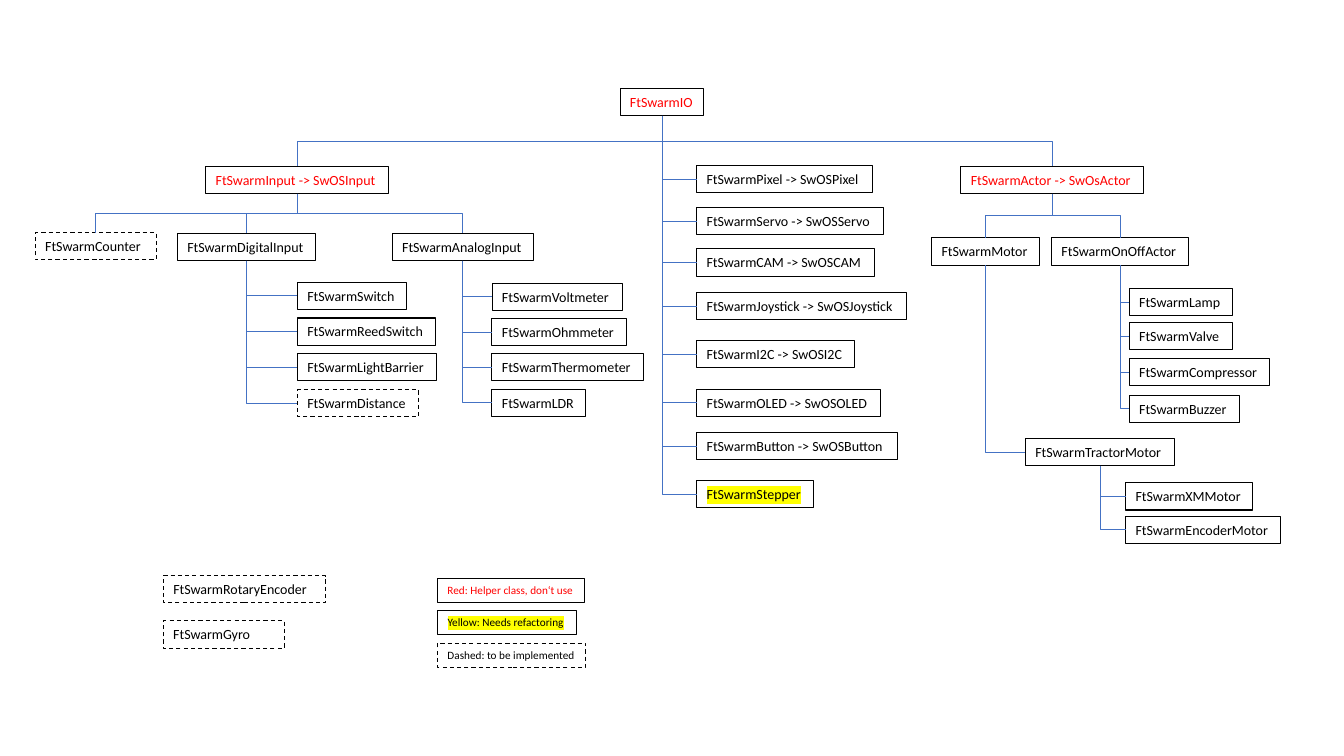
from lxml import etree
from pptx import Presentation, util as u
from pptx.dml.color import RGBColor
from pptx.enum import dml, shapes, text
from pptx.oxml import ns

BLACK = RGBColor(0x00, 0x00, 0x00)
RED = RGBColor(0xFF, 0x00, 0x00)
BLUE = RGBColor(0x44, 0x72, 0xC4)
YELLOW = RGBColor(0xFF, 0xFF, 0x00)
TOP, LEFT, BOTTOM = 0, 1, 2  # connection sites of a rectangle

GRID = u.Inches(0.1)  # all columns, rows and widths count in this unit
BOX_H, KEY_H = 2.7, 2.4

prs = Presentation()
prs.slide_width, prs.slide_height = u.Inches(13.33), u.Inches(7.5)
s = prs.slides.add_slide(prs.slide_layouts[6])
boxes = {}


def add_box(label, col, row, width, style="", size=10):
    """Draw a class box; style holds any of the words red, yellow, dashed, wrap."""
    height = BOX_H if size == 10 else KEY_H
    sp = s.shapes.add_textbox(*(round(v * GRID) for v in (col, row, width, height)))
    sp.line.color.rgb = BLACK
    sp.line.width = u.Pt(0.75)
    if "dashed" in style:
        sp.line.dash_style = dml.MSO_LINE.DASH
    tf = sp.text_frame
    tf.word_wrap = "wrap" in style
    tf.auto_size = text.MSO_AUTO_SIZE.SHAPE_TO_FIT_TEXT
    r = tf.paragraphs[0].add_run()
    r.text = label
    font_format = {"name": "Calibri", "size": u.Pt(size)}
    for name, value in font_format.items():
        setattr(r.font, name, value)
    r.font.color.rgb = RED if "red" in style else BLACK
    if "yellow" in style:
        mark = etree.Element(ns.qn("a:highlight"))
        etree.SubElement(mark, ns.qn("a:srgbClr")).set("val", str(YELLOW))
        r.font.fill._xPr.find(ns.qn("a:solidFill")).addnext(mark)
    boxes[label] = sp


def link(parent, child, site):
    """Join the bottom of parent to a site of child, leaving it downwards."""
    a, b = boxes[parent], boxes[child]
    x1, y1 = a.left + a.width // 2, a.top + a.height
    x2, y2 = ((b.left + b.width // 2, b.top) if site == TOP
              else (b.left, b.top + b.height // 2))
    c = s.shapes.add_connector(shapes.MSO_CONNECTOR.ELBOW, x1, y1, x2, y2)
    c.begin_connect(a, BOTTOM)
    c.end_connect(b, site)
    # The preset starts sideways, so it is turned a quarter about its centre.
    length, drop = abs(x2 - x1), y2 - y1
    c.left, c.top = (x1 + x2 - drop) // 2, (y1 + y2 - length) // 2
    c.width, c.height = drop, length
    sp_pr = c._element.spPr
    xfrm = sp_pr.find(ns.qn("a:xfrm"))
    for flip in ("flipH", "flipV"):
        xfrm.attrib.pop(flip, None)
    xfrm.set("rot", "16200000" if x2 > x1 else "5400000")
    if x2 > x1:
        xfrm.set("flipH", "1")
    if site == LEFT:
        sp_pr.find(ns.qn("a:prstGeom")).set("prst", "bentConnector2")
    c.line.color.rgb = BLUE
    c.line.width = u.Pt(0.5)
    etree.SubElement(sp_pr, ns.qn("a:effectLst"))


add_box("FtSwarmIO", 61.5, 8.8, 8.3, "red")

# Classes hanging below their parent: parent, label, column, row, width, style
BELOW = [
    ("FtSwarmIO", "FtSwarmInput -> SwOSInput", 20.4, 16.5, 18.1, "red"),
    ("FtSwarmIO", "FtSwarmActor -> SwOsActor", 95.3, 16.5, 18.1, "red"),
    ("FtSwarmInput -> SwOSInput", "FtSwarmCounter", 3.5, 23.1, 12, "dashed wrap"),
    ("FtSwarmInput -> SwOSInput", "FtSwarmDigitalInput", 17.6, 23.15, 13.7, ""),
    ("FtSwarmInput -> SwOSInput", "FtSwarmAnalogInput", 38.9, 23.15, 14, ""),
    ("FtSwarmActor -> SwOsActor", "FtSwarmMotor", 92.4, 23.6, 10.7, ""),
    ("FtSwarmActor -> SwOsActor", "FtSwarmOnOffActor", 104.3, 23.6, 13.6, ""),
]
for parent, label, *place in BELOW:
    add_box(label, *place)
    link(parent, label, TOP)

# Classes stacked beside a trunk: parent, column, rows, (label, width, style)
STACKS = [
    ("FtSwarmIO", 69.1, (16.4, 20.6, 24.7, 29, 33.8, 38.6, 42.9, 47.7), [
        ("FtSwarmPixel -> SwOSPixel", 17.4, ""),
        ("FtSwarmServo -> SwOSServo", 18.5, ""),
        ("FtSwarmCAM -> SwOSCAM", 17.6, ""),
        ("FtSwarmJoystick -> SwOSJoystick", 20.8, ""),
        ("FtSwarmI2C -> SwOSI2C", 15.7, ""),
        ("FtSwarmOLED -> SwOSOLED", 18.2, ""),
        ("FtSwarmButton -> SwOSButton", 19.9, ""),
        ("FtSwarmStepper", 11.6, "yellow")]),
    ("FtSwarmDigitalInput", 29.5, [28 + 3.55 * i for i in range(4)], [
        ("FtSwarmSwitch", 10.8, ""),
        ("FtSwarmReedSwitch", 13.7, ""),
        ("FtSwarmLightBarrier", 13.8, ""),
        ("FtSwarmDistance", 12, "dashed")]),
    ("FtSwarmAnalogInput", 48.8, [28.1 + 3.5 * i for i in range(4)], [
        ("FtSwarmVoltmeter", 12.9, ""),
        ("FtSwarmOhmmeter", 13.3, ""),
        ("FtSwarmThermometer", 15, ""),
        ("FtSwarmLDR", 9.3, "")]),
    ("FtSwarmOnOffActor", 112, (28.6, 32, 35.6, 39.2), [
        ("FtSwarmLamp", 10.2, ""),
        ("FtSwarmValve", 10.2, ""),
        ("FtSwarmCompressor", 13.9, ""),
        ("FtSwarmBuzzer", 10.9, "")]),
    ("FtSwarmMotor", 101.7, (43.5,), [
        ("FtSwarmTractorMotor", 14.8, "")]),
    ("FtSwarmTractorMotor", 111.65, (47.9, 51.2), [
        ("FtSwarmXMMotor", 12.6, ""),
        ("FtSwarmEncoderMotor", 15.4, "")]),
]
for parent, col, rows, children in STACKS:
    for row, (label, width, style) in zip(rows, children):
        add_box(label, col, row, width, style)
        link(parent, label, LEFT)

add_box("FtSwarmRotaryEncoder", 16.2, 57.1, 16.1, "dashed wrap")
add_box("FtSwarmGyro", 16.2, 61.6, 12, "dashed wrap")

LEGEND = [
    ("Red: Helper class, don‘t use", 14.6, "red"),
    ("Yellow: Needs refactoring", 13.8, "yellow"),
    ("Dashed: to be implemented", 14.7, "dashed"),
]
for i, (label, width, style) in enumerate(LEGEND):
    add_box(label, 43.4, 57.4 + 3.2 * i, width, style, size=8)

prs.save("out.pptx")
